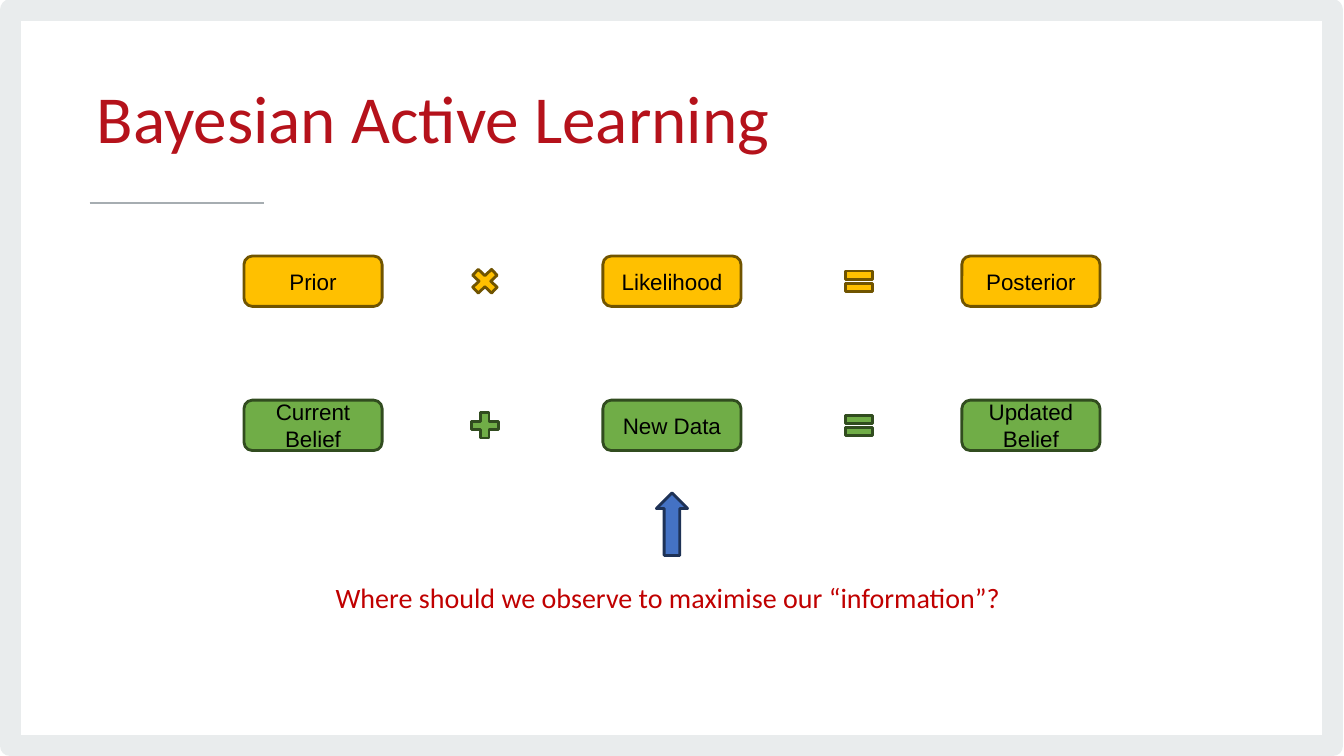
from pptx import Presentation
from pptx.dml.color import RGBColor
from pptx.enum import shapes, text
from pptx.util import Inches, Pt
from lxml import etree

WHITE = RGBColor(0xFF, 0xFF, 0xFF)
BLACK = RGBColor(0, 0, 0)
FRAME = RGBColor(0xE9, 0xEC, 0xED)
RULE = RGBColor(0xA6, 0xAD, 0xB1)
TITLE = RGBColor(0xB5, 0x12, 0x1B)
RED = RGBColor(0xC0, 0, 0)
GOLD = RGBColor(0xFF, 0xC0, 0)
BROWN = RGBColor(0x70, 0x54, 0)
GREEN = RGBColor(0x70, 0xAD, 0x47)
MOSS = RGBColor(0x31, 0x4C, 0x1F)
BLUE = RGBColor(0x44, 0x72, 0xC4)
NAVY = RGBColor(0x1E, 0x32, 0x56)
KIND = shapes.MSO_SHAPE
A = "http://schemas.openxmlformats.org/drawingml/2006/main"

deck = Presentation()
deck.slide_width, deck.slide_height = Inches(13.33), Inches(7.5)
slide = deck.slides.add_slide(deck.slide_layouts[6])
slide.background.fill.solid()
slide.background.fill.fore_color.rgb = WHITE


def draw(kind, box, fill, edge, width=2):
    shape = slide.shapes.add_shape(kind, *map(Inches, box))
    shape.shadow.inherit = False
    if fill is None:
        shape.fill.background()
    else:
        shape.fill.solid()
        shape.fill.fore_color.rgb = fill
    shape.line.color.rgb = edge
    shape.line.width = Pt(width)
    return shape


def write(shape, words, size, face, color):
    """Add one styled run to the first paragraph and return the paragraph."""
    para = shape.text_frame.paragraphs[0]
    run = para.add_run()
    run.text = words
    run.font.size = Pt(size)
    run.font.name = face
    run.font.color.rgb = color
    return para


draw(KIND.RECTANGLE, (0.1, 0.1, 13.12, 7.3), None, FRAME, 15.11)

rule = slide.shapes.add_connector(shapes.MSO_CONNECTOR.STRAIGHT, Inches(0.89),
                                  Inches(2.01), Inches(2.62), Inches(2.01))
rule.line.color.rgb = RULE
rule.line.width = Pt(1.33)
etree.SubElement(rule.line._get_or_add_ln().getparent(), f"{{{A}}}effectLst")

title = slide.shapes.add_textbox(Inches(0.86), Inches(0.52), Inches(9.02), Inches(1.34))
title.text_frame.word_wrap = True
title.text_frame.vertical_anchor = text.MSO_ANCHOR.MIDDLE
write(title, "Bayesian Active Learning", 48, "Calibri", TITLE).line_spacing = 0.96

rows = [
    (2.54, GOLD, BROWN, KIND.MATH_MULTIPLY, ["Prior", "Likelihood", "Posterior"]),
    (3.97, GREEN, MOSS, KIND.MATH_PLUS, ["Current Belief", "New Data", "Updated Belief"]),
]
for top, fill, edge, sign, terms in rows:
    for col, term in enumerate(terms):
        box = draw(KIND.ROUNDED_RECTANGLE, (2.42 + 3.56 * col, top, 1.37, 0.5), fill, edge)
        box.text_frame.word_wrap = True
        box.text_frame.vertical_anchor = text.MSO_ANCHOR.MIDDLE
        write(box, term, 16, "Arial", BLACK).alignment = text.PP_ALIGN.CENTER
    for left, kind in ((4.63, sign), (8.34, KIND.MATH_EQUAL)):
        draw(kind, (left, top + 0.08, 0.36, 0.34), fill, edge)

draw(KIND.UP_ARROW, (6.51, 4.89, 0.31, 0.62), BLUE, NAVY)

ask = slide.shapes.add_textbox(Inches(3.23), Inches(5.71), Inches(6.87), Inches(0.44))
ask.text_frame.word_wrap = False
ask.text_frame.auto_size = text.MSO_AUTO_SIZE.SHAPE_TO_FIT_TEXT
write(ask, "Where should we observe to maximise our “information”?", 20, "Calibri", RED)

deck.save("out.pptx")
